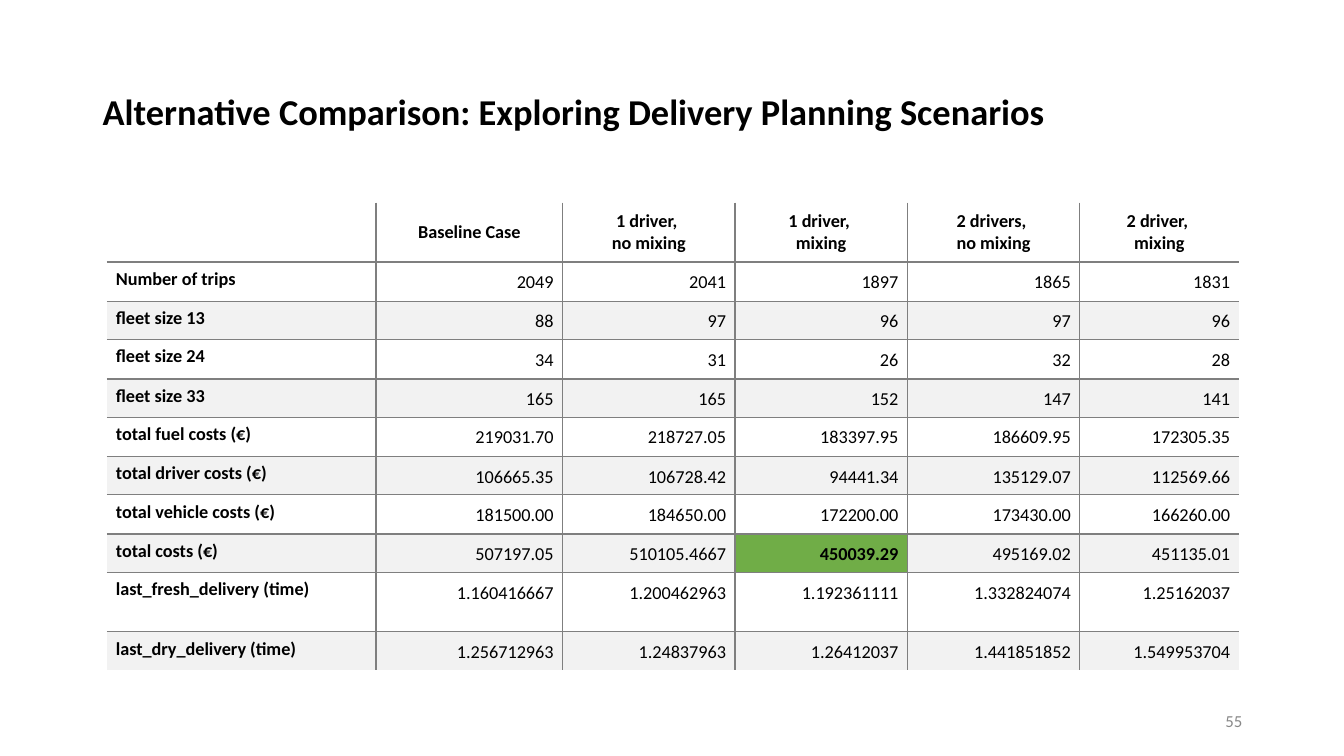
"""Builds the slide that compares delivery planning scenarios."""
from lxml.etree import SubElement
from pptx import Presentation
from pptx.dml.color import RGBColor
from pptx.enum.text import MSO_ANCHOR as Anchor, PP_ALIGN as Align
from pptx.oxml.ns import qn
from pptx.util import Inches, Pt

BLACK = RGBColor(0x00, 0x00, 0x00)
WHITE = RGBColor(0xFF, 0xFF, 0xFF)
PAGE_GREY = RGBColor(0x88, 0x88, 0x88)
RULE_GREY = RGBColor(0x7F, 0x7F, 0x7F)
BAND_GREY = RGBColor(0xF2, 0xF2, 0xF2)
BEST_GREEN = RGBColor(0x70, 0xAD, 0x47)

SCENARIOS = ["", "Baseline Case", "1 driver, \nno mixing", "1 driver, \nmixing",
             "2 drivers, \nno mixing", "2 driver, \nmixing"]
MEASURES = [
    ["Number of trips", "2049", "2041", "1897", "1865", "1831"],
    ["fleet size 13", "88", "97", "96", "97", "96"],
    ["fleet size 24", "34", "31", "26", "32", "28"],
    ["fleet size 33", "165", "165", "152", "147", "141"],
    ["total fuel costs (€)", "219031.70", "218727.05", "183397.95", "186609.95", "172305.35"],
    ["total driver costs (€)", "106665.35", "106728.42", "94441.34", "135129.07", "112569.66"],
    ["total vehicle costs (€)", "181500.00", "184650.00", "172200.00", "173430.00", "166260.00"],
    ["total costs (€)", "507197.05", "510105.4667", "450039.29", "495169.02", "451135.01"],
    ["last_fresh_delivery (time)", "1.160416667", "1.200462963", "1.192361111",
     "1.332824074", "1.25162037"],
    ["last_dry_delivery (time)", "1.256712963", "1.24837963", "1.26412037",
     "1.441851852", "1.549953704"],
]
BEST_CELL = (8, 3)
COLUMN_WIDTHS = [2.67, 1.85, 1.71, 1.71, 1.71, 1.58]
ROW_HEIGHTS = [0.59] + [0.39, 0.38] * 4 + [0.59, 0.38]


class SlideBuilder:
    """Holds the font and the current slide and adds elements to it."""

    def __init__(self, slide, font_name):
        self.slide = slide
        self.font_name = font_name

    def fill_paragraph(self, paragraph, text, size, color=BLACK, bold=False,
                       align=Align.LEFT, spacing=None):
        """Fill one paragraph with styled text."""
        paragraph.text = text
        paragraph.alignment = align
        paragraph.line_spacing = spacing
        font = paragraph.font
        font.name, font.size, font.bold = self.font_name, Pt(size), bold
        font.color.rgb = color

    def text(self, left, top, width, height, text, size, **style):
        """Add a vertically centred text box."""
        box = self.slide.shapes.add_textbox(
            Inches(left), Inches(top), Inches(width), Inches(height))
        frame = box.text_frame
        frame.word_wrap = True
        frame.vertical_anchor = Anchor.MIDDLE
        self.fill_paragraph(frame.paragraphs[0], text, size, **style)

    def rule(self, cell, side, visible):
        """Draw or hide the border on one side of a cell."""
        line = SubElement(cell._tc.get_or_add_tcPr(), qn(f"a:ln{side}"), w=str(Pt(1)))
        if visible:
            fill = SubElement(line, qn("a:solidFill"))
            SubElement(fill, qn("a:srgbClr"), val=str(RULE_GREY))
        else:
            SubElement(line, qn("a:noFill"))

    def table(self, left, top, rows, widths, heights, size, best):
        """Add a banded table with inner rules and one highlighted cell."""
        table = self.slide.shapes.add_table(
            len(rows), len(widths), Inches(left), Inches(top),
            Inches(sum(widths)), Inches(sum(heights))).table
        table.first_row = table.horz_banding = False
        for column, width in zip(table.columns, widths):
            column.width = Inches(width)
        for row, height in zip(table.rows, heights):
            row.height = Inches(height)
        last_row, last_column = len(rows) - 1, len(widths) - 1
        for r, values in enumerate(rows):
            for c, value in enumerate(values):
                cell = table.cell(r, c)
                cell.margin_left = cell.margin_right = Inches(0.09)
                cell.margin_top = cell.margin_bottom = Inches(0.06)
                is_header, is_label, is_best = r == 0, c == 0, (r, c) == best
                cell.vertical_anchor = Anchor.MIDDLE if is_header else Anchor.TOP
                for side, inner in (("L", c > 0), ("R", c < last_column),
                                    ("T", r > 0), ("B", r < last_row)):
                    self.rule(cell, side, inner)
                band = WHITE if is_header or r % 2 else BAND_GREY
                cell.fill.solid()
                cell.fill.fore_color.rgb = BEST_GREEN if is_best else band
                align = Align.CENTER if is_header else Align.LEFT if is_label else Align.RIGHT
                self.fill_paragraph(cell.text_frame.paragraphs[0], value, size,
                                    bold=is_header or is_label or is_best, align=align,
                                    spacing=None if is_header or is_label else 1.15)


def main():
    """Build and save the slide."""
    deck = Presentation()
    deck.slide_width, deck.slide_height = Inches(13.33), Inches(7.5)
    builder = SlideBuilder(deck.slides.add_slide(deck.slide_layouts[6]), "Calibri")
    builder.text(9.42, 6.95, 3, 0.4, "55", 12, color=PAGE_GREY, align=Align.RIGHT)
    builder.text(0.92, 0.4, 10.65, 1.45,
                 "Alternative Comparison: Exploring Delivery Planning Scenarios",
                 26, bold=True, spacing=0.9)
    builder.table(1.06, 2.01, [SCENARIOS] + MEASURES, COLUMN_WIDTHS, ROW_HEIGHTS,
                  13, BEST_CELL)
    deck.save("out.pptx")


if __name__ == "__main__":
    main()
